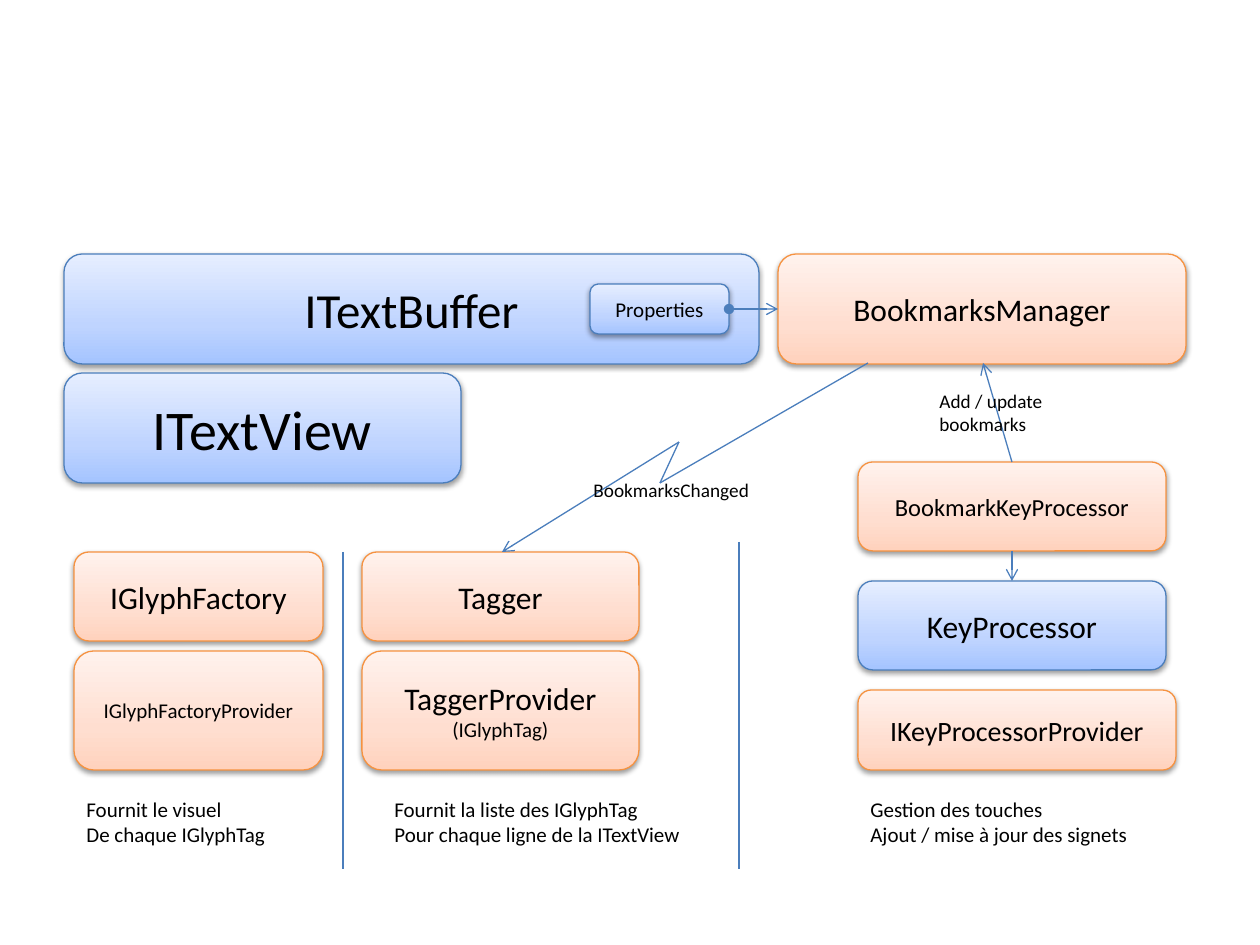
from lxml.etree import SubElement
from pptx import Presentation
from pptx.dml.color import RGBColor
from pptx.enum.shapes import MSO_CONNECTOR, MSO_SHAPE
from pptx.enum.text import MSO_ANCHOR, MSO_AUTO_SIZE, PP_ALIGN
from pptx.oxml.ns import qn
from pptx.util import Pt

PX = 914400 / 126
BLUE = "4B7EBC"
ORANGE = "F69240"
GRADIENTS = {
    BLUE: ((0, "A4C4FF"), (35, "BFD4FF"), (100, "E6EEFF")),
    ORANGE: ((0, "FFD2BD"), (35, "FFDED0"), (100, "FFF2ED")),
}


def px(*lengths):
    """Turn px lengths into EMU."""
    return [round(length * PX) for length in lengths]


def color(value):
    """Turn a hex string into a colour."""
    return RGBColor.from_string(value)


def child(parent, tag, **attributes):
    """Add an XML child with the given attributes."""
    return SubElement(parent, qn(tag), {key: str(value) for key, value in attributes.items()})


def write(frame, *lines, sizes=(12,), align=PP_ALIGN.LEFT, ink="000000"):
    """Write one paragraph per line; the last size serves all further lines."""
    for index, line in enumerate(lines):
        paragraph = frame.paragraphs[0] if index == 0 else frame.add_paragraph()
        paragraph.alignment = align
        run = paragraph.add_run()
        run.text = line
        run.font.name = "Calibri"
        run.font.size = Pt(sizes[min(index, len(sizes) - 1)])
        run.font.color.rgb = color(ink)


def card(slide, box, *lines, sizes=(18,), accent=ORANGE):
    """Draw a rounded component card with gradient and soft shadow."""
    component = slide.shapes.add_shape(MSO_SHAPE.ROUNDED_RECTANGLE, *px(*box))
    component.fill.gradient()
    component.fill.gradient_angle = 90
    properties = component._element.spPr
    stops = properties.find(qn("a:gradFill")).find(qn("a:gsLst"))
    for stop in list(stops):
        stops.remove(stop)
    for position, tint in GRADIENTS[accent]:
        child(child(stops, "a:gs", pos=position * 1000), "a:srgbClr", val=tint)
    component.line.color.rgb = color(accent)
    component.line.width = Pt(0.75)
    component.shadow.inherit = False
    shadow = child(properties.find(qn("a:effectLst")), "a:outerShdw", blurRad=Pt(3.1),
                   dist=Pt(1.6), dir=5400000, rotWithShape=0)
    child(child(shadow, "a:srgbClr", val="000000"), "a:alpha", val=38000)
    component.text_frame.word_wrap = True
    component.text_frame.vertical_anchor = MSO_ANCHOR.MIDDLE
    write(component.text_frame, *lines, sizes=sizes, align=PP_ALIGN.CENTER)


def label(slide, box, *lines, size=12):
    """Place unwrapped text."""
    caption = slide.shapes.add_textbox(*px(*box))
    caption.text_frame.word_wrap = False
    caption.text_frame.auto_size = MSO_AUTO_SIZE.SHAPE_TO_FIT_TEXT
    write(caption.text_frame, *lines, sizes=(size,))


def link(slide, start, end, head=None, tail=None):
    """Draw a straight line with optional ends."""
    connector = slide.shapes.add_connector(MSO_CONNECTOR.STRAIGHT, *px(*start, *end))
    connector.line.color.rgb = color(BLUE)
    connector.line.width = Pt(0.75)
    stroke = connector.line._get_or_add_ln()
    for tag, kind in (("a:headEnd", head), ("a:tailEnd", tail)):
        if kind:
            child(stroke, tag, type=kind)
    child(connector._element.spPr, "a:effectLst")


def editor_region(slide, left, top):
    """Draw the buffer, its properties, the view and the bookmarks manager."""
    height = 110
    card(slide, (left + 714, top, 408, height), "BookmarksManager")
    card(slide, (left, top, 695, height), "ITextBuffer", sizes=(28,), accent=BLUE)
    card(slide, (left + 526, top + 30, 139, 50), "Properties", sizes=(12,), accent=BLUE)
    card(slide, (left, top + height + 9, 397, height), "ITextView", sizes=(32,), accent=BLUE)
    link(slide, (left + 665, top + 55), (left + 714, top + 55), head="oval", tail="arrow")


def provider_region(slide, left, top, width, component, provider, sizes):
    """Stack a component above its provider."""
    card(slide, (left, top, width, 89), component)
    card(slide, (left, top + 99, width, 119), *provider, sizes=sizes)


def key_region(slide, left, top):
    """Draw the key processors and their links."""
    width, height, gap = 308, 89, 30
    center = left + width // 2
    base = top + height + gap
    card(slide, (left, top, width, height), "BookmarkKeyProcessor", sizes=(14,))
    card(slide, (left, base, width, height), "KeyProcessor", accent=BLUE)
    card(slide, (left, top + 228, width + 10, 80), "IKeyProcessorProvider", sizes=(16,))
    link(slide, (center, top + height), (center, base), tail="arrow")
    link(slide, (center, top), (center - 29, top - 99), tail="arrow")
    label(slide, (left + 69, top - 79, 130, 59), "Add / update", "bookmarks", size=11)


def event_region(slide, left, top):
    """Draw the lightning-shaped change event from manager to tagger."""
    upper, lower = (left + 177, top + 79), (left + 158, top + 120)
    link(slide, upper, (left, top + 189), tail="arrow")
    link(slide, (left + 366, top), lower)
    link(slide, lower, upper)
    label(slide, (left + 79, top + 109, 181, 37), "BookmarksChanged", size=11)


def notes_region(slide, top):
    """Place the description under each column and the column dividers."""
    label(slide, (74, top, 205, 63), "Fournit le visuel", "De chaque IGlyphTag")
    label(slide, (382, top, 314, 63), "Fournit la liste des IGlyphTag",
          "Pour chaque ligne de la ITextView")
    label(slide, (858, top, 286, 63), "Gestion des touches", "Ajout / mise à jour des signets")
    for x, start in ((343, 552), (739, 542)):
        link(slide, (x, start), (x, top + 79))


def main():
    """Build and save the slide."""
    deck = Presentation()
    deck.slide_width, deck.slide_height = px(1260, 945)
    slide = deck.slides.add_slide(deck.slide_layouts[6])
    editor_region(slide, 64, 254)
    provider_region(slide, 74, 552, 249, "IGlyphFactory", ("IGlyphFactoryProvider",), (12,))
    provider_region(slide, 362, 552, 277, "Tagger", ("TaggerProvider", "(IGlyphTag)"), (18, 12))
    key_region(slide, 858, 462)
    event_region(slide, 502, 363)
    notes_region(slide, 790)
    deck.save("out.pptx")


if __name__ == "__main__":
    main()
